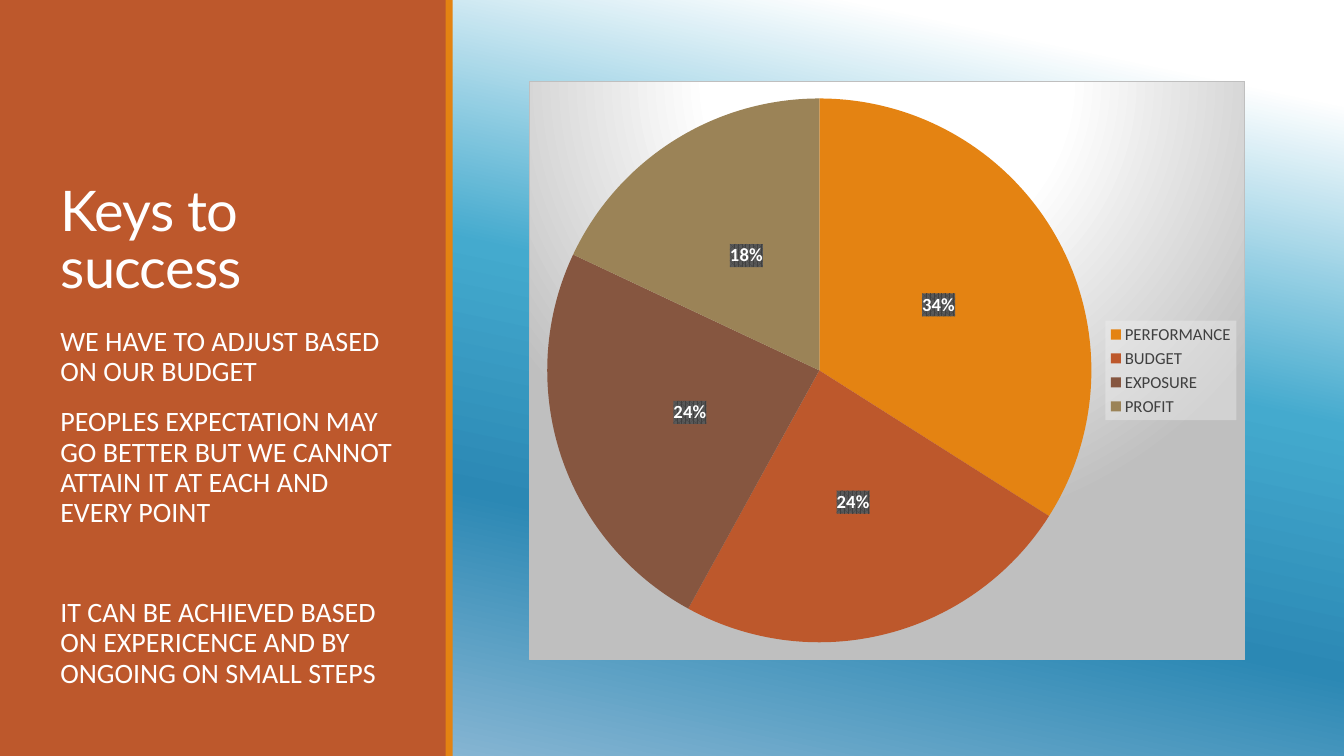
from lxml.etree import SubElement
from pptx import Presentation
from pptx.chart.data import CategoryChartData
from pptx.dml.color import RGBColor
from pptx.enum.chart import XL_CHART_TYPE, XL_LABEL_POSITION, XL_LEGEND_POSITION
from pptx.enum.shapes import MSO_SHAPE
from pptx.enum.text import MSO_ANCHOR
from pptx.oxml import parse_xml
from pptx.oxml.ns import nsdecls, qn
from pptx.util import Inches, Pt

COLORS = {
    "white": "FFFFFF", "black": "000000", "rust": "BD582C", "orange": "E48312",
    "brown": "865640", "olive": "9B8357", "legend": "404040", "silver": "BFBFBF",
    "pattern": "595959", "panel": "F2F2F2",
}
TITLE = "Keys to\vsuccess"
POINTS = [
    ("WE HAVE TO ADJUST BASED ON OUR BUDGET", 0),
    ("PEOPLES EXPECTATION MAY GO BETTER BUT WE CANNOT ATTAIN IT AT EACH AND EVERY POINT", 12),
    ("IT CAN BE ACHIEVED BASED ON EXPERICENCE AND BY ONGOING ON SMALL STEPS", 48),
]
SLICES = [
    ("PERFORMANCE", 34, "orange"), ("BUDGET", 24, "rust"),
    ("EXPOSURE", 24, "brown"), ("PROFIT", 18, "olive"),
]
BANDS = [("rust", 0, 4.43), ("orange", 4.42, 0.07)]
SKY = [(10, "FFFFFF"), (41, "44AACE"), (65, "2B88B4"), (100, "A6C5DD")]
GLOW = [(0, "FFFFFF"), (39, "FFFFFF"), (100, "BFBFBF")]
PLOT = {"x": 0.02, "y": 0.03, "w": 0.77, "h": 0.94}


def rgb(name):
    return RGBColor.from_string(COLORS[name])


def gradient(stops, direction):
    marks = "".join(
        f'<a:gs pos="{place * 1000}"><a:srgbClr val="{color}"/></a:gs>' for place, color in stops
    )
    return f'<a:gradFill {nsdecls("a")} rotWithShape="1"><a:gsLst>{marks}</a:gsLst>{direction}</a:gradFill>'


def chart_look(fill):
    return parse_xml(f'<c:spPr {nsdecls("c", "a")}>{fill}</c:spPr>')


def style_font(font, size, color, name="Calibri", bold=False):
    font.size = Pt(size)
    font.name = name
    font.bold = bold
    font.color.rgb = rgb(color)


def write(para, text, size, name="Calibri", line=0.9, before=0, after=0, spacing=None):
    para.text = text
    para.line_spacing = line
    para.space_before = Pt(before)
    para.space_after = Pt(after)
    for span in para.runs:
        style_font(span.font, size, "white", name)
        if spacing is not None:
            span.font._element.set("spc", str(int(spacing * 100)))


def place(shape, left, top, width, height):
    shape.left, shape.top = Inches(left), Inches(top)
    shape.width, shape.height = Inches(width), Inches(height)


def paint_background(page):
    fill = page.background.fill
    fill.gradient()
    old = page.background._cSld.find(".//" + qn("a:gradFill"))
    angle = f'<a:lin ang="{102 * 60000}" scaled="0"/>'
    old.getparent().replace(old, parse_xml(gradient(SKY, angle)))


def add_bands(page):
    for color, left, width in BANDS:
        band = page.shapes.add_shape(
            MSO_SHAPE.RECTANGLE, Inches(left), 0, Inches(width), Inches(7.5)
        )
        band.shadow.inherit = False
        band.fill.solid()
        band.fill.fore_color.rgb = rgb(color)
        band.line.fill.background()


def add_text(page):
    title = page.shapes.title
    place(title, 0.5, 0.76, 3.5, 2.27)
    page.shapes._spTree.append(title._element)
    title.text_frame.word_wrap = True
    title.text_frame.vertical_anchor = MSO_ANCHOR.BOTTOM
    para = title.text_frame.paragraphs[0]
    write(para, TITLE, 40, name="Lato", line=0.85, spacing=-0.5)
    para.alignment = 1

    box = page.shapes.add_textbox(Inches(0.5), Inches(3.2), Inches(3.5), Inches(3.7))
    frame = box.text_frame
    frame.word_wrap = True
    for index, (text, before) in enumerate(POINTS):
        para = frame.add_paragraph() if index else frame.paragraphs[0]
        write(para, text, 20, before=before, after=2)


def add_pie(page):
    data = CategoryChartData()
    data.categories = [name for name, _, _ in SLICES]
    data.add_series("Series 1", [value for _, value, _ in SLICES])
    chart = page.shapes.add_chart(
        XL_CHART_TYPE.PIE, Inches(5.25), Inches(0.8), Inches(7.1), Inches(5.75), data
    ).chart
    chart.has_title = False
    style_font(chart.font, 10, "black")

    plot = chart.plots[0]
    plot.vary_by_categories = True
    series = plot.series[0]
    for index, (_, _, color) in enumerate(SLICES):
        wedge = series.points[index].format
        wedge.fill.solid()
        wedge.fill.fore_color.rgb = rgb(color)
        wedge.line.fill.background()

    labels = series.data_labels
    labels.show_percentage = True
    labels.show_value = False
    labels.number_format = "0%"
    labels.number_format_is_linked = False
    labels.position = XL_LABEL_POSITION.CENTER
    style_font(labels.font, 13.3, "white", bold=True)
    labels._element.find(qn("c:txPr")).addprevious(chart_look(
        f'<a:pattFill prst="pct75"><a:fgClr><a:srgbClr val="{COLORS["legend"]}"/></a:fgClr>'
        f'<a:bgClr><a:srgbClr val="{COLORS["pattern"]}"/></a:bgClr></a:pattFill>'
    ))

    chart.has_legend = True
    legend = chart.legend
    legend.position = XL_LEGEND_POSITION.RIGHT
    legend.include_in_layout = False
    style_font(legend.font, 12, "legend")
    legend._element.find(qn("c:txPr")).addprevious(chart_look(
        f'<a:solidFill><a:srgbClr val="{COLORS["panel"]}"><a:alpha val="39000"/></a:srgbClr></a:solidFill>'
    ))

    space = chart._chartSpace
    glow = gradient(GLOW, '<a:path path="circle"><a:fillToRect l="50000" t="-80000" r="50000" b="180000"/></a:path>')
    border = f'<a:ln w="9525"><a:solidFill><a:srgbClr val="{COLORS["silver"]}"/></a:solidFill></a:ln>'
    space.find(qn("c:chart")).addnext(chart_look(glow + border))

    area = space.find(".//" + qn("c:plotArea"))
    for old in area.findall(qn("c:layout")):
        area.remove(old)
    layout = parse_xml(f'<c:layout {nsdecls("c")}><c:manualLayout/></c:layout>')
    area.insert(0, layout)
    manual = layout[0]
    SubElement(manual, qn("c:layoutTarget")).set("val", "inner")
    for side in "xy":
        SubElement(manual, qn(f"c:{side}Mode")).set("val", "edge")
    for side, share in PLOT.items():
        SubElement(manual, qn(f"c:{side}")).set("val", str(share))


def main():
    deck = Presentation()
    deck.slide_width, deck.slide_height = Inches(13.33), Inches(7.5)
    page = deck.slides.add_slide(deck.slide_layouts[5])
    paint_background(page)
    add_bands(page)
    add_text(page)
    add_pie(page)
    deck.save("out.pptx")


if __name__ == "__main__":
    main()
